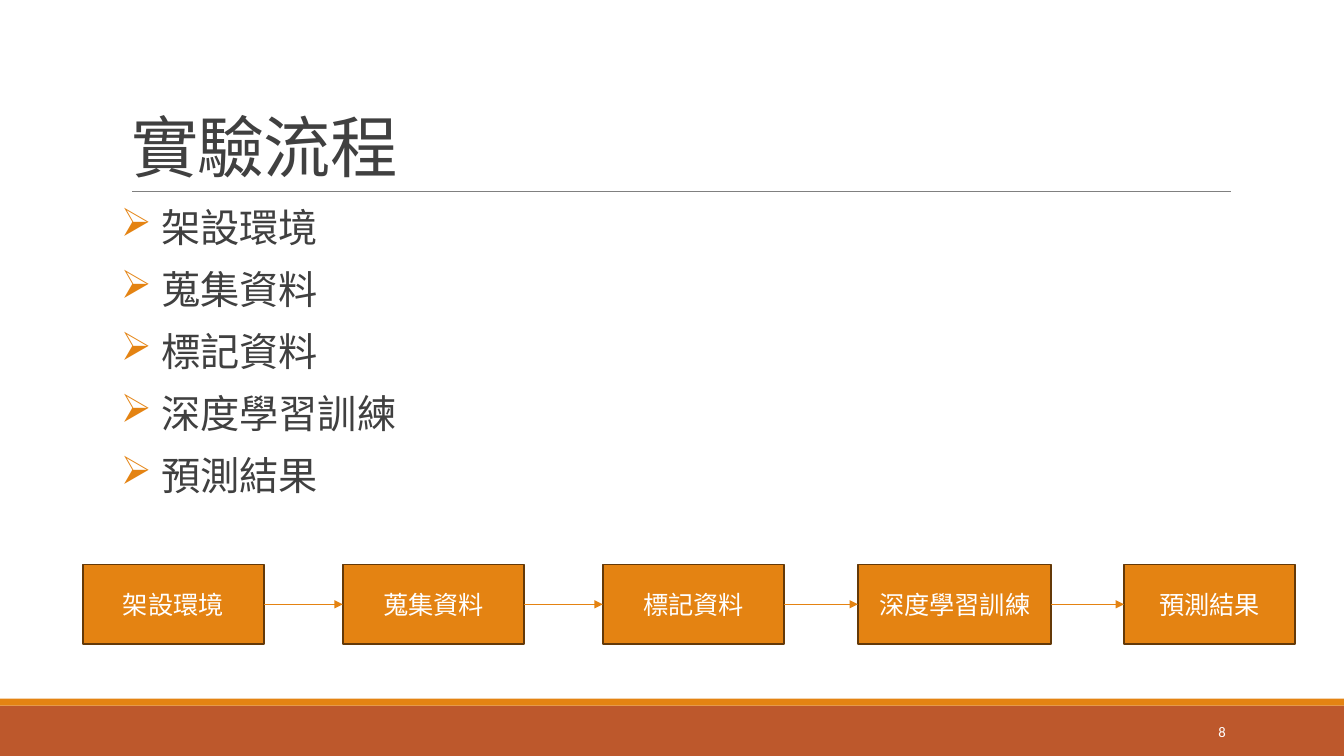
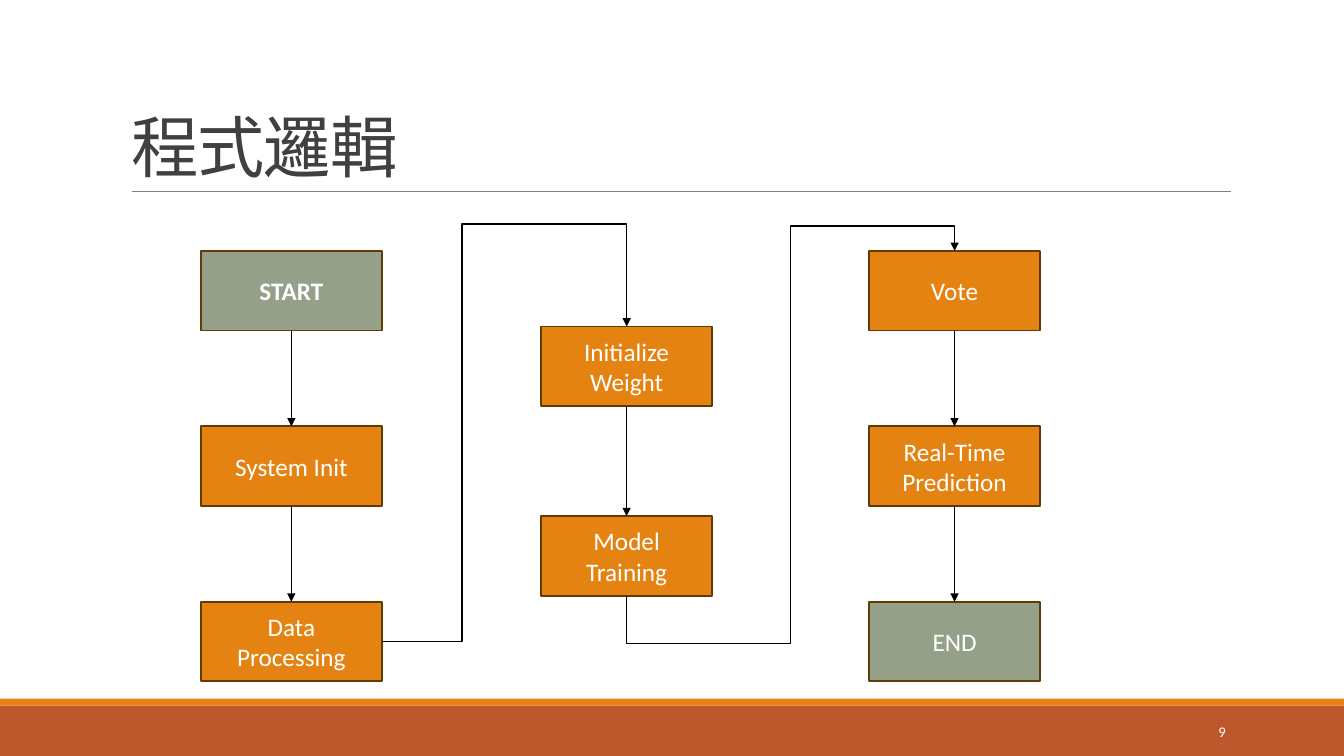
import pptx
import pptx.util
import pptx.dml.color
import pptx.enum.shapes
import pptx.enum.text
import pptx.oxml.ns
from lxml import etree

COLORS = {
    "ink": "404040", "white": "FFFFFF", "black": "000000", "rule": "808080",
    "orange": "E48312", "rust": "BD582C", "sage": "94A088", "edge": "643908",
}
RGB = {k: pptx.dml.color.RGBColor.from_string(v) for k, v in COLORS.items()}
CJK, LATIN = "Noto Sans CJK SC", "Calibri"
RECT = pptx.enum.shapes.MSO_SHAPE.RECTANGLE
LINE = pptx.enum.shapes.MSO_CONNECTOR
ALIGN = pptx.enum.text.PP_ALIGN
ANCHOR = pptx.enum.text.MSO_ANCHOR
Pt = pptx.util.Pt
qn = pptx.oxml.ns.qn

prs = pptx.Presentation()
prs.slide_width = pptx.util.Inches(13.33)
prs.slide_height = pptx.util.Inches(7.5)

# Grid: 100 columns by 100 rows
col, row = prs.slide_width / 100, prs.slide_height / 100
BOX_H = 10.53


def text(sp, *lines, size=18, font=CJK, color="white", bold=False, align=ALIGN.CENTER,
         anchor=ANCHOR.MIDDLE, inset=1, leading=1.0, before=0, after=0, spc=None, bullet=None):
    """Fill a shape with one paragraph per line; inset and bullet indent are in columns."""
    tf = sp.text_frame
    tf.word_wrap = True
    tf.vertical_anchor = anchor
    tf.margin_left = tf.margin_right = int(inset * col)
    for i, line in enumerate(lines):
        p = tf.add_paragraph() if i else tf.paragraphs[0]
        p.alignment, p.line_spacing = align, leading
        p.space_before, p.space_after = Pt(before if i else 0), Pt(after)
        if bullet:
            pPr = p._p.get_or_add_pPr()
            pPr.set("marL", str(int(bullet * col)))
            pPr.set("indent", str(-int(bullet * col)))
            clr = etree.SubElement(pPr, qn("a:buClr"))
            etree.SubElement(clr, qn("a:srgbClr"), val=COLORS["orange"])
            etree.SubElement(pPr, qn("a:buChar"), char="➢")
        r = p.add_run()
        r.text = line
        r.font.size, r.font.bold, r.font.name = Pt(size), bold, font
        r.font.color.rgb = RGB[color]
        rPr = r._r.get_or_add_rPr()
        etree.SubElement(rPr, qn("a:ea"), typeface=font)
        if spc is not None:
            rPr.set("spc", str(int(spc * 100)))


def connect(slide, start, end, color, width=1, kind=LINE.STRAIGHT, arrow=True):
    """Draw a line between two points in EMU."""
    cx = slide.shapes.add_connector(kind, *(int(v) for v in (*start, *end)))
    cx.line.color.rgb = RGB[color]
    cx.line.width = Pt(width)
    if arrow:
        etree.SubElement(cx.line._get_or_add_ln(), qn("a:tailEnd"), type="triangle")
    etree.SubElement(cx._element.spPr, qn("a:effectLst"))
    return cx


# Shared parts: bands, title, rule, page number
slides = []
for title, number in (("實驗流程", "8"), ("程式邏輯", "9")):
    slide = prs.slides.add_slide(prs.slide_layouts[6])
    for y, h, color in ((93.33, 6.67, "rust"), (92.4, 0.93, "orange")):
        sp = slide.shapes.add_shape(RECT, 0, int(y * row), prs.slide_width, int(h * row))
        sp.shadow.inherit = False
        sp.fill.solid()
        sp.fill.fore_color.rgb = RGB[color]
        sp.line.fill.background()
    connect(slide, (9.83 * col, 25.33 * row), (91.6 * col, 25.33 * row), "rule", 0.5, arrow=False)
    sp = slide.shapes.add_textbox(int(9 * col), int(4.13 * row), int(82.5 * col), int(21.2 * row))
    text(sp, title, size=48, color="ink", align=ALIGN.LEFT, anchor=ANCHOR.BOTTOM,
         inset=0.75, leading=0.85, spc=-0.5)
    sp = slide.shapes.add_textbox(int(81.25 * col), int(94.13 * row), int(10.7 * col), int(5.33 * row))
    text(sp, number, size=10.5, font=LATIN, align=ALIGN.RIGHT, inset=0.75)
    slides.append(slide)
process, logic = slides

# Process steps as a list
steps = ("架設環境", "蒐集資料", "標記資料", "深度學習訓練", "預測結果")
sp = process.shapes.add_textbox(int(9 * col), int(26.93 * row), int(82.5 * col), int(58.67 * row))
text(sp, *steps, size=28, color="ink", align=ALIGN.LEFT, anchor=ANCHOR.TOP, inset=0,
     leading=0.9, before=12, after=2, bullet=3)

# Boxes of both slides: slide, label, left, top, width, fill
spans = ((6.15, 13.5), (25.5, 13.5), (44.85, 13.5), (63.83, 14.4), (83.63, 12.75))
boxes = [(process, s, x, 74.67, w, "orange") for s, (x, w) in zip(steps, spans)]
columns = (
    (14.93, 13.5, 33.2, 23.2, ("START", "System Init", "Data Processing")),
    (40.25, 12.75, 43.2, 25.07, ("Initialize Weight", "Model Training")),
    (64.65, 12.75, 33.2, 23.2, ("Vote", "Real-Time Prediction", "END")),
)
for x, w, top, pitch, labels in columns:
    for i, label in enumerate(labels):
        fill = "sage" if label in ("START", "END") else "orange"
        boxes.append((logic, label, x, top + i * pitch, w, fill))

node = {}
for slide, label, x, y, w, fill in boxes:
    sp = slide.shapes.add_shape(RECT, int(x * col), int(y * row), int(w * col), int(BOX_H * row))
    sp.shadow.inherit = False
    sp.fill.solid()
    sp.fill.fore_color.rgb = RGB[fill]
    sp.line.color.rgb = RGB["edge"]
    sp.line.width = Pt(1.25)
    text(sp, label, font=CJK if slide is process else LATIN, bold=label == "START")
    node[label] = sp

# Straight arrows, glued from right to left side or from bottom to top
chains = [(process, steps, "orange", 3, 1)]
chains += [(logic, c[-1], "black", 2, 0) for c in columns]
for slide, labels, color, out_site, in_site in chains:
    for a, b in zip(labels, labels[1:]):
        cx = connect(slide, (0, 0), (col, row), color)
        cx.begin_connect(node[a], out_site)
        cx.end_connect(node[b], in_site)

# Bent arrows between the columns
data, weight = node["Data Processing"], node["Initialize Weight"]
model, vote = node["Model Training"], node["Vote"]
to_weight = connect(logic, (data.left + data.width, data.top + data.height / 2),
                    (weight.left + weight.width / 2, weight.top), "black", kind=LINE.ELBOW)

# The second one leaves downwards, so its frame is turned by 90 degrees
x1, y1 = model.left + model.width / 2, model.top + model.height
x2, y2 = vote.left + vote.width / 2, vote.top
mx, my, dx, dy = (x1 + x2) / 2, (y1 + y2) / 2, (x2 - x1) / 2, (y1 - y2) / 2
to_vote = connect(logic, (mx + dy, my + dx), (mx - dy, my - dx), "black", kind=LINE.ELBOW)
to_vote._element.spPr.find(qn("a:xfrm")).set("rot", str(90 * 60000))

for cx, preset, bends in ((to_weight, "bentConnector4", (32600, 132600)),
                          (to_vote, "bentConnector5", (-13800, 50000, 107300))):
    geom = cx._element.spPr.find(qn("a:prstGeom"))
    geom.set("prst", preset)
    av = geom.find(qn("a:avLst"))
    for i, bend in enumerate(bends, 1):
        etree.SubElement(av, qn("a:gd"), name=f"adj{i}", fmla=f"val {bend}")

prs.save("out.pptx")
